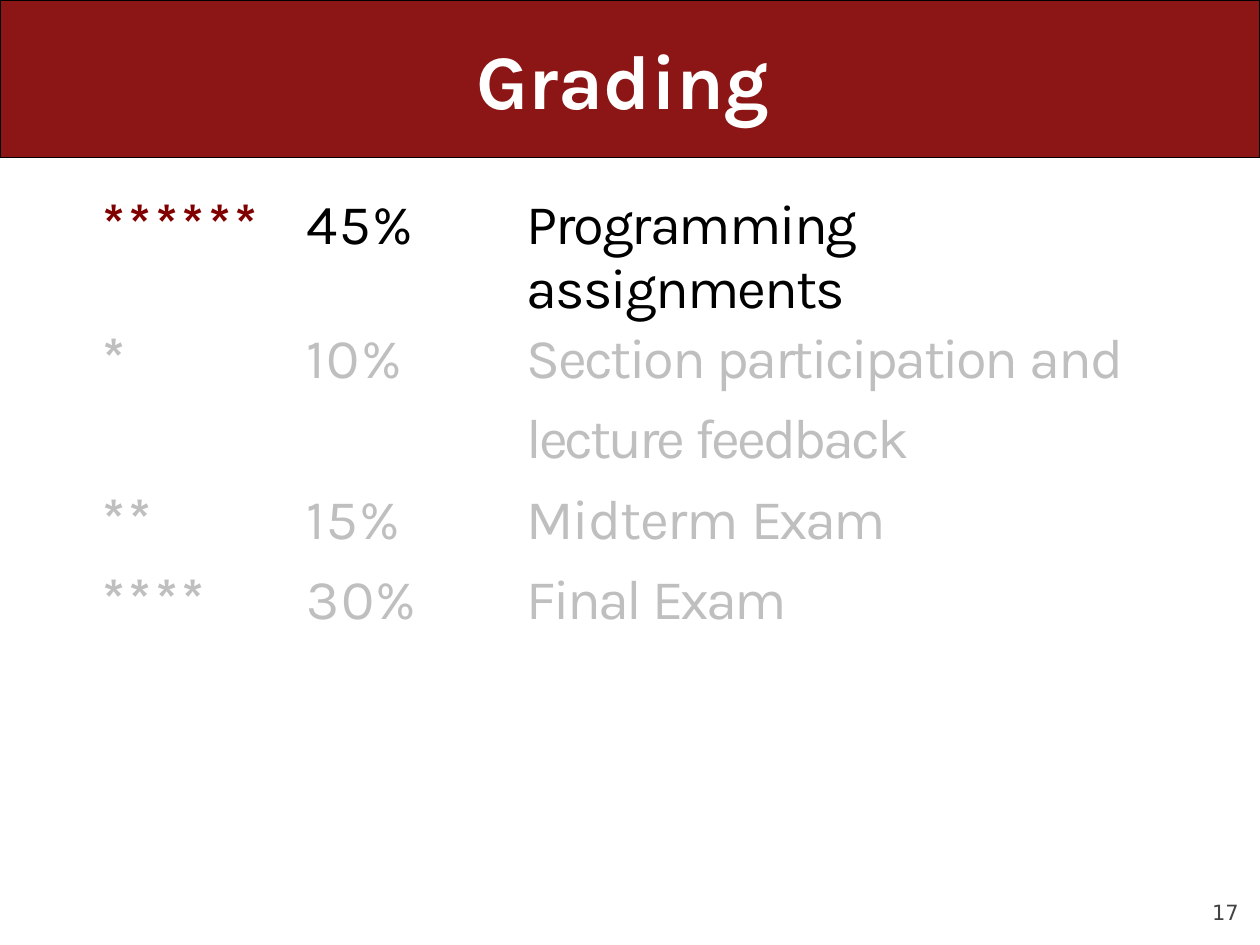
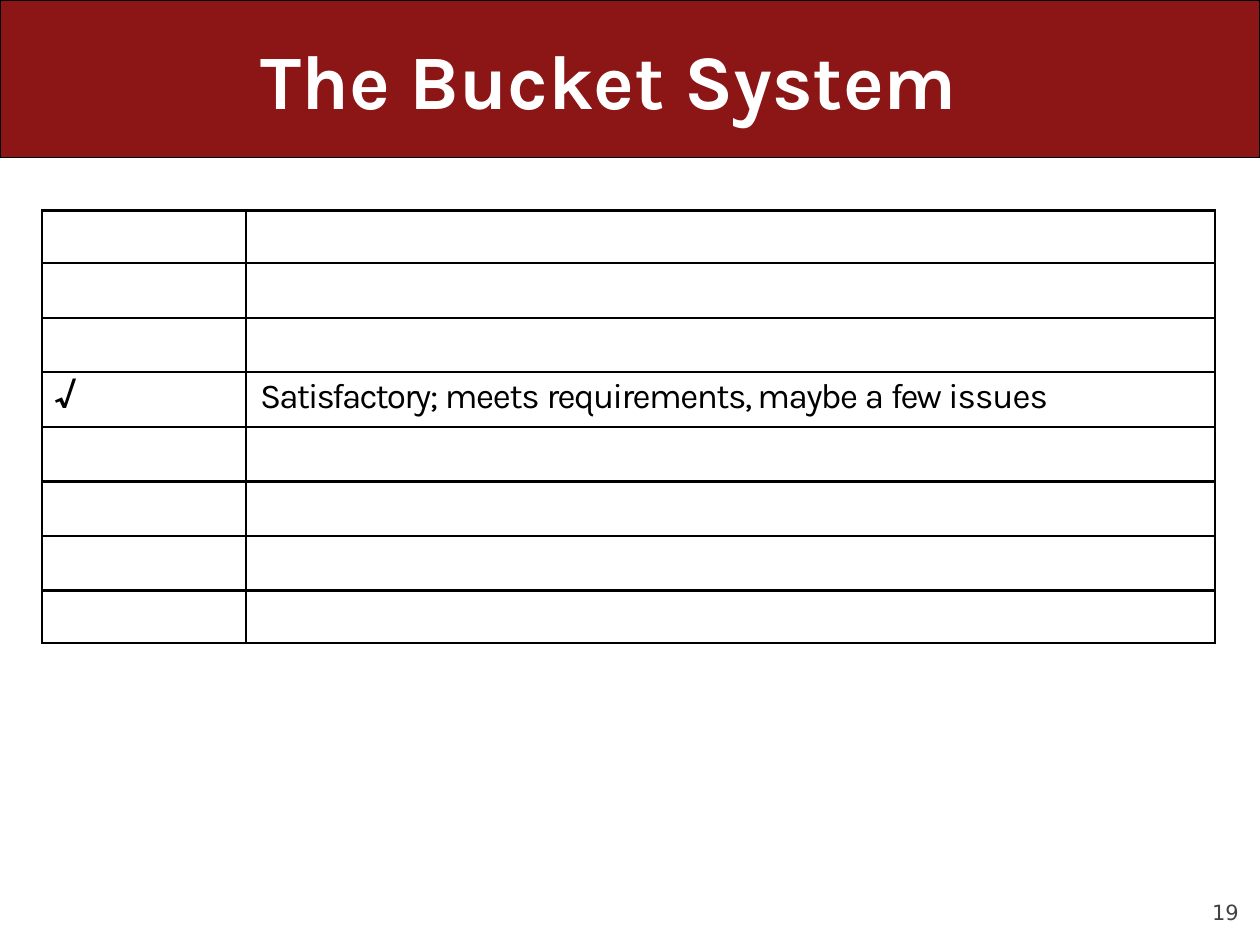
"""Build two course slides: the grading breakdown and the bucket system."""
import dataclasses

import pptx
import pptx.dml.color
import pptx.enum.shapes
import pptx.enum.text
import pptx.oxml
import pptx.oxml.ns
import pptx.util


@dataclasses.dataclass(frozen=True)
class Theme:
    band: str = "8C1515"
    white: str = "FFFFFF"
    black: str = "000000"
    accent: str = "800000"
    faded: str = "BFBFBF"
    number: str = "424242"
    font: str = "Karla"
    number_font: str = "DejaVu Sans"
    title_size: int = 44
    grading_size: int = 32
    bucket_size: int = 20
    number_size: int = 12
    band_line: float = 0.75
    grid_line: float = 1.5
    plain_table: str = "{2D5ABB26-0587-4C30-8999-92F81FD0307C}"


theme = Theme()
deck = pptx.Presentation()
deck.slide_width = pptx.util.Inches(10)
deck.slide_height = pptx.util.Inches(7.5)
COLUMN = deck.slide_width / 100
ROW = deck.slide_height / 75


def write(frame, parts, size, color, bold=False, font=theme.font, margins=(0, 0)):
    """Write (text, letter spacing) parts; margins are left columns and top rows."""
    frame.margin_left, frame.margin_top = int(margins[0] * COLUMN), int(margins[1] * ROW)
    frame.margin_right = frame.margin_bottom = 0
    para = frame.text_frame.paragraphs[0] if hasattr(frame, "text_frame") else frame.paragraphs[0]
    para.alignment = pptx.enum.text.PP_ALIGN.LEFT
    para.font.size = pptx.util.Pt(size)
    for text, spacing in parts:
        span = para.add_run()
        span.text = text
        span.font.name = font
        span.font.size = pptx.util.Pt(size)
        span.font.bold = bold
        span.font.color.rgb = pptx.dml.color.RGBColor.from_string(color)
        span._r.get_or_add_rPr().set("spc", str(round(spacing * 100)))


def add_plain_table(page, left, top, widths, heights):
    """Add an unstyled table with the given column widths and row heights."""
    frame = page.shapes.add_table(
        len(heights), len(widths), int(left * COLUMN), int(top * ROW),
        int(sum(widths) * COLUMN), int(sum(heights) * ROW))
    table = frame.table
    table.first_row = table.horz_banding = False
    table._tbl.tblPr.find(pptx.oxml.ns.qn("a:tableStyleId")).text = theme.plain_table
    for column, width in zip(table.columns, widths):
        column.width = int(width * COLUMN)
    for row, height in zip(table.rows, heights):
        row.height = int(height * ROW)
    return table


pages = []
for title_parts, title_left, title_width, number in [
    ([("G", -0.1), ("ra", 0), ("d", 0.1), ("ing", -0.1)], 37.7, 24.6, "17"),
    ([("The Bucket System", -0.05)], 20.6, 58.8, "19"),
]:
    page = deck.slides.add_slide(deck.slide_layouts[6])
    band = page.shapes.add_shape(
        pptx.enum.shapes.MSO_SHAPE.RECTANGLE, 0, 0, deck.slide_width, int(12.5 * ROW))
    band.shadow.inherit = False
    band.fill.solid()
    band.fill.fore_color.rgb = pptx.dml.color.RGBColor.from_string(theme.band)
    band.line.color.rgb = pptx.dml.color.RGBColor.from_string(theme.black)
    band.line.width = pptx.util.Pt(theme.band_line)

    for parts, left, top, width, height, style in [
        (title_parts, title_left, 2.4, title_width, 7.6,
         dict(size=theme.title_size, color=theme.white, bold=True, margins=(0.1, 0.2))),
        ([(number, 0)], 95.9, 71.3, 2.7, 2.3,
         dict(size=theme.number_size, color=theme.number, font=theme.number_font,
              margins=(0.3, 0.1))),
    ]:
        box = page.shapes.add_textbox(
            int(left * COLUMN), int(top * ROW), int(width * COLUMN), int(height * ROW))
        box.text_frame.word_wrap = True
        write(box.text_frame, parts, **style)
    pages.append(page)

grading_page, bucket_page = pages

grading_rows = [
    ("******", "45%", [("Programming ", -1.2), ("assignments", -1.1)]),
    ("*", "10%", [("Section ", -1.4), ("participation ", -1.5), ("and", -1.1)]),
    ("", "", [("lecture ", -1.8), ("feedback", -1.7)]),
    ("**", "15%", [("Midterm ", -0.7), ("Exam", -1.7)]),
    ("****", "30%", [("Final ", -1.6), ("Exam", -1.8)]),
]
grading = add_plain_table(grading_page, 7.7, 15.4, [15.1, 14.1, 53], [5.9, 6.4, 6.4, 6.4, 5.9])
for row_index, (stars, share, item_parts) in enumerate(grading_rows):
    current = row_index == 0
    color = theme.black if current else theme.faded
    star_color = theme.accent if current else theme.faded
    for column_index, (parts, cell_color, bold, indent) in enumerate([
        ([(stars, 2.1)] if stars else [], star_color, True, 0.4),
        ([(share, 0.8)] if share else [], color, False, 1.55),
        (item_parts, color, False, 4.9),
    ]):
        cell = grading.cell(row_index, column_index)
        write(cell, parts, theme.grading_size, cell_color, bold,
              margins=(indent, 0 if current else 0.3))
        cell.fill.background()
        if current:
            cell.text_frame.paragraphs[0].line_spacing = pptx.util.Pt(36.8)

bucket_texts = {
    (3, 0): ([("√", 0)], True),
    (3, 1): ([("Satisfactory; ", -1.1), ("meets ", -0.8), ("requirements, maybe ", -0.9),
              ("a ", -1), ("few ", -1.2), ("issues", -0.6)], False),
}
buckets = add_plain_table(bucket_page, 3.35, 16.7, [16.2, 76.9], [4.2] + [4.33] * 6 + [4.2])
for row_index in range(len(buckets.rows)):
    for column_index in range(len(buckets.columns)):
        cell = buckets.cell(row_index, column_index)
        parts, bold = bucket_texts.get((row_index, column_index), ([], False))
        write(cell, parts, theme.bucket_size, theme.black, bold,
              margins=(1 + 0.1 * column_index, 0.3))
        properties = cell._tc.get_or_add_tcPr()
        for side in "LRTB":
            properties.append(pptx.oxml.parse_xml(
                f'<a:ln{side} {pptx.oxml.ns.nsdecls("a")} w="{pptx.util.Pt(theme.grid_line)}">'
                f'<a:solidFill><a:srgbClr val="{theme.black}"/></a:solidFill></a:ln{side}>'))
        cell.fill.background()

deck.save("out.pptx")
